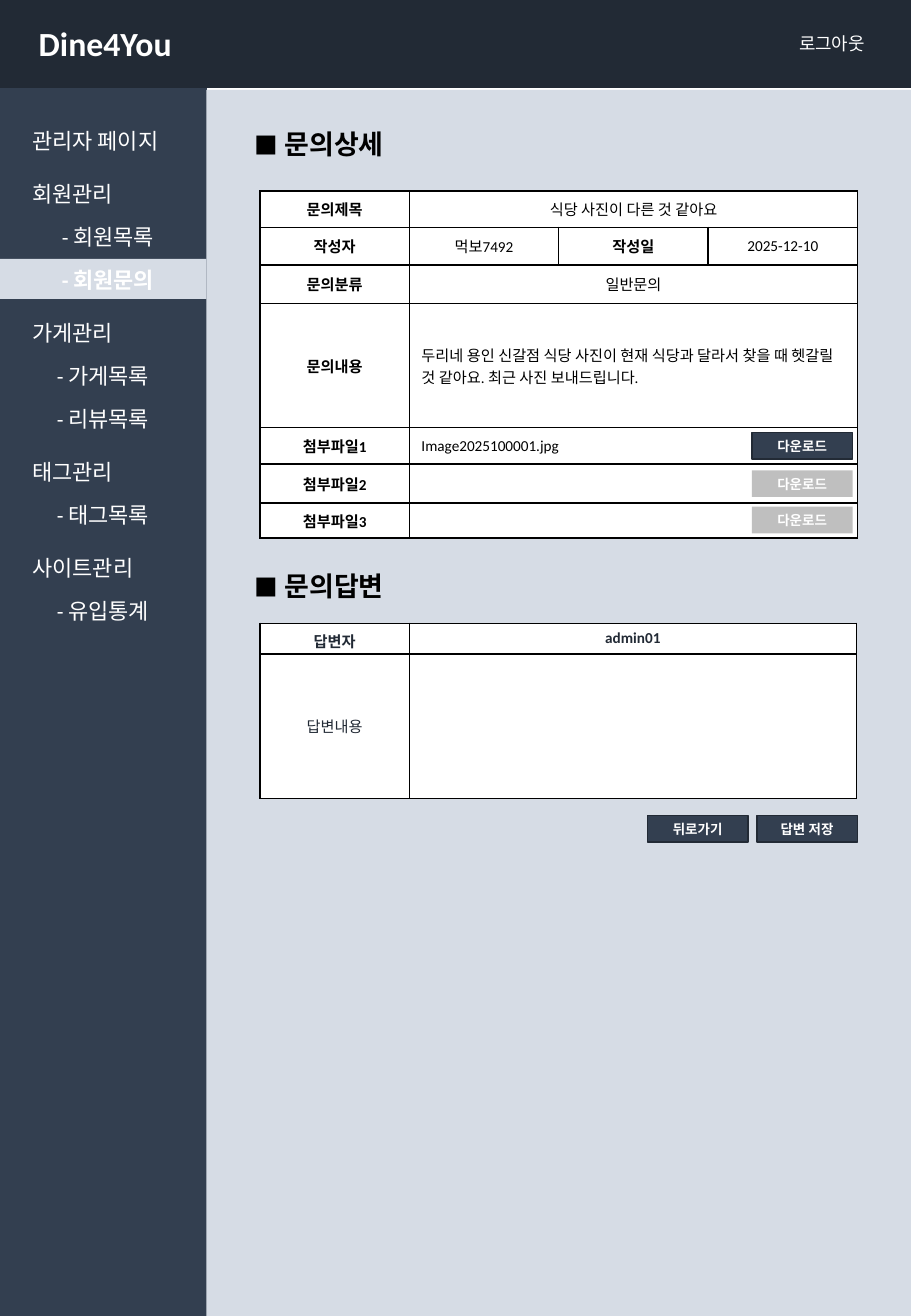
from dataclasses import dataclass
from typing import Optional

import lxml.etree
import pptx
import pptx.dml.color
import pptx.enum.shapes
import pptx.enum.text
import pptx.oxml.ns
import pptx.util

PX = 9144
FONT = "Calibri"
WHITE = pptx.dml.color.RGBColor(0xFF, 0xFF, 0xFF)
BLACK = pptx.dml.color.RGBColor(0x00, 0x00, 0x00)
SLATE = pptx.dml.color.RGBColor(0x33, 0x3F, 0x50)
NAVY = pptx.dml.color.RGBColor(0x22, 0x2A, 0x35)
MIST = pptx.dml.color.RGBColor(0xD6, 0xDC, 0xE5)
GREY = pptx.dml.color.RGBColor(0xBF, 0xBF, 0xBF)
CENTER = pptx.enum.text.PP_ALIGN.CENTER
LEFT = pptx.enum.text.PP_ALIGN.LEFT
MIDDLE = pptx.enum.text.MSO_ANCHOR.MIDDLE
qn = pptx.oxml.ns.qn


@dataclass(frozen=True)
class Panel:
    left: int
    top: int
    width: int
    height: int
    fill: pptx.dml.color.RGBColor
    line: Optional[pptx.dml.color.RGBColor] = None
    label: str = ""


@dataclass(frozen=True)
class MenuItem:
    text: str
    indent: int = 0
    active: bool = False


@dataclass(frozen=True)
class Entry:
    text: str = ""
    bold: bool = False
    align: pptx.enum.text.PP_ALIGN = CENTER


def button(left: int, top: int, label: str, enabled: bool = True) -> Panel:
    return Panel(left, top, 83, 22, SLATE if enabled else GREY, NAVY if enabled else None, label)


BACKDROP = [
    Panel(0, 0, 170, 1083, SLATE, SLATE),
    Panel(0, 0, 750, 72, NAVY, NAVY),
    Panel(0, 213, 170, 33, MIST),
    Panel(170, 74, 580, 1009, MIST),
]
BUTTONS = [
    button(619, 356, "다운로드"),
    button(619, 387, "다운로드", False),
    button(619, 417, "다운로드", False),
    button(533, 671, "뒤로가기"),
    button(623, 671, "답변 저장"),
]
MENU = [
    MenuItem("관리자 페이지"),
    MenuItem("회원관리"),
    MenuItem("- 회원목록", 24),
    MenuItem("- 회원문의", 24, True),
    MenuItem("가게관리"),
    MenuItem("- 가게목록", 20),
    MenuItem("- 리뷰목록", 20),
    MenuItem("태그관리"),
    MenuItem("- 태그목록", 20),
    MenuItem("사이트관리"),
    MenuItem("- 유입통계", 20),
]
INQUIRY = [
    [Entry("문의제목", True), Entry("식당 사진이 다른 것 같아요")],
    [Entry("작성자", True), Entry("먹보7492"), Entry("작성일", True), Entry("2025-12-10")],
    [Entry("문의분류", True), Entry("일반문의")],
    [Entry("문의내용", True),
     Entry("두리네 용인 신갈점 식당 사진이 현재 식당과 달라서 찾을 때 헷갈릴 것 같아요. "
           "최근 사진 보내드립니다.", align=LEFT)],
    [Entry("첨부파일1", True), Entry("Image2025100001.jpg", align=LEFT)],
    [Entry("첨부파일2", True), Entry()],
    [Entry("첨부파일3", True), Entry()],
]
REPLY = [
    [Entry("답변자", True), Entry("admin01", True)],
    [Entry("답변내용"), Entry()],
]


def style(span, size: float, color: pptx.dml.color.RGBColor, bold: bool = False) -> None:
    span.font.name = FONT
    span.font.size = pptx.util.Pt(size)
    span.font.bold = bold
    span.font.color.rgb = color


def draw_panel(page, panel: Panel) -> None:
    box = page.shapes.add_shape(
        pptx.enum.shapes.MSO_SHAPE.RECTANGLE,
        panel.left * PX, panel.top * PX, panel.width * PX, panel.height * PX)
    box.shadow.inherit = False
    box.fill.solid()
    box.fill.fore_color.rgb = panel.fill
    if panel.line is None:
        box.line.fill.background()
    else:
        box.line.color.rgb = panel.line
        box.line.width = pptx.util.Pt(1)
    if panel.label:
        frame = box.text_frame
        frame.text = panel.label
        frame.vertical_anchor = MIDDLE
        frame.paragraphs[0].alignment = CENTER
        style(frame.paragraphs[0].runs[0], 8, WHITE, True)


def add_text_frame(page, left: int, top: int, width: int, height: int):
    frame = page.shapes.add_textbox(left * PX, top * PX, width * PX, height * PX).text_frame
    frame.word_wrap = True
    return frame


def draw_label(page, left: int, top: int, width: int, height: int,
               text: str, size: float, bold: bool = False) -> None:
    frame = add_text_frame(page, left, top, width, height)
    frame.text = text
    style(frame.paragraphs[0].runs[0], size, WHITE, bold)


def draw_heading(page, top: int, title: str) -> None:
    para = add_text_frame(page, 200, top, 190, 37).paragraphs[0]
    for text, size in (("■", 14), (f" {title}", 16)):
        span = para.add_run()
        span.text = text
        style(span, size, BLACK, True)


def draw_menu(page) -> None:
    frame = add_text_frame(page, 17, 100, 135, 427)
    frame.text = "\n".join(item.text for item in MENU)
    for index, (para, item) in enumerate(zip(frame.paragraphs, MENU)):
        if index:
            para.space_before = pptx.util.Pt(9.8 if item.indent else 15.9)
        para._p.get_or_add_pPr().set("marL", str(item.indent * PX))
        style(para.runs[0], 13, WHITE, item.active)


def format_cell(cell, entry: Entry, color: pptx.dml.color.RGBColor) -> None:
    properties = cell._tc.get_or_add_tcPr()
    for side in ("a:lnL", "a:lnR", "a:lnT", "a:lnB"):
        border = lxml.etree.SubElement(properties, qn(side), w="12700")
        fill = lxml.etree.SubElement(border, qn("a:solidFill"))
        lxml.etree.SubElement(fill, qn("a:srgbClr"), val=str(BLACK))
    cell.fill.solid()
    cell.fill.fore_color.rgb = WHITE
    cell.vertical_anchor = MIDDLE
    cell.text_frame.text = entry.text
    para = cell.text_frame.paragraphs[0]
    para.alignment = entry.align
    for span in para.runs:
        style(span, 9, color, entry.bold)
    if not entry.text:
        lxml.etree.SubElement(para._p, qn("a:endParaRPr"), sz="900")


def draw_table(page, top: int, widths: list[int], heights: list[int],
               rows: list[list[Entry]], color: pptx.dml.color.RGBColor) -> None:
    table = page.shapes.add_table(
        len(heights), len(widths), 214 * PX, top * PX,
        sum(widths) * PX, sum(heights) * PX).table
    table.first_row = False
    table.horz_banding = False
    for column, width in zip(table.columns, widths):
        column.width = width * PX
    for row_index, (height, entries) in enumerate(zip(heights, rows)):
        table.rows[row_index].height = height * PX
        missing = len(widths) - len(entries)
        for column_index, entry in enumerate(entries + [Entry()] * missing):
            format_cell(table.cell(row_index, column_index), entry, color)
        if missing:
            table.cell(row_index, len(entries) - 1).merge(
                table.cell(row_index, len(widths) - 1))


def main() -> None:
    deck = pptx.Presentation()
    deck.slide_width = 750 * PX
    deck.slide_height = 1083 * PX
    page = deck.slides.add_slide(deck.slide_layouts[6])
    for panel in BACKDROP:
        draw_panel(page, panel)
    draw_label(page, 648, 22, 82, 28, "로그아웃", 10.6)
    draw_label(page, 22, 14, 132, 44, "Dine4You", 20, True)
    draw_menu(page)
    draw_heading(page, 100, "문의상세")
    draw_table(page, 157, [123] * 4, [30, 31, 32, 102, 30, 32, 29], INQUIRY, BLACK)
    draw_heading(page, 464, "문의답변")
    draw_table(page, 513, [123, 368], [24, 119], REPLY, NAVY)
    for panel in BUTTONS:
        draw_panel(page, panel)
    deck.save("out.pptx")


if __name__ == "__main__":
    main()
